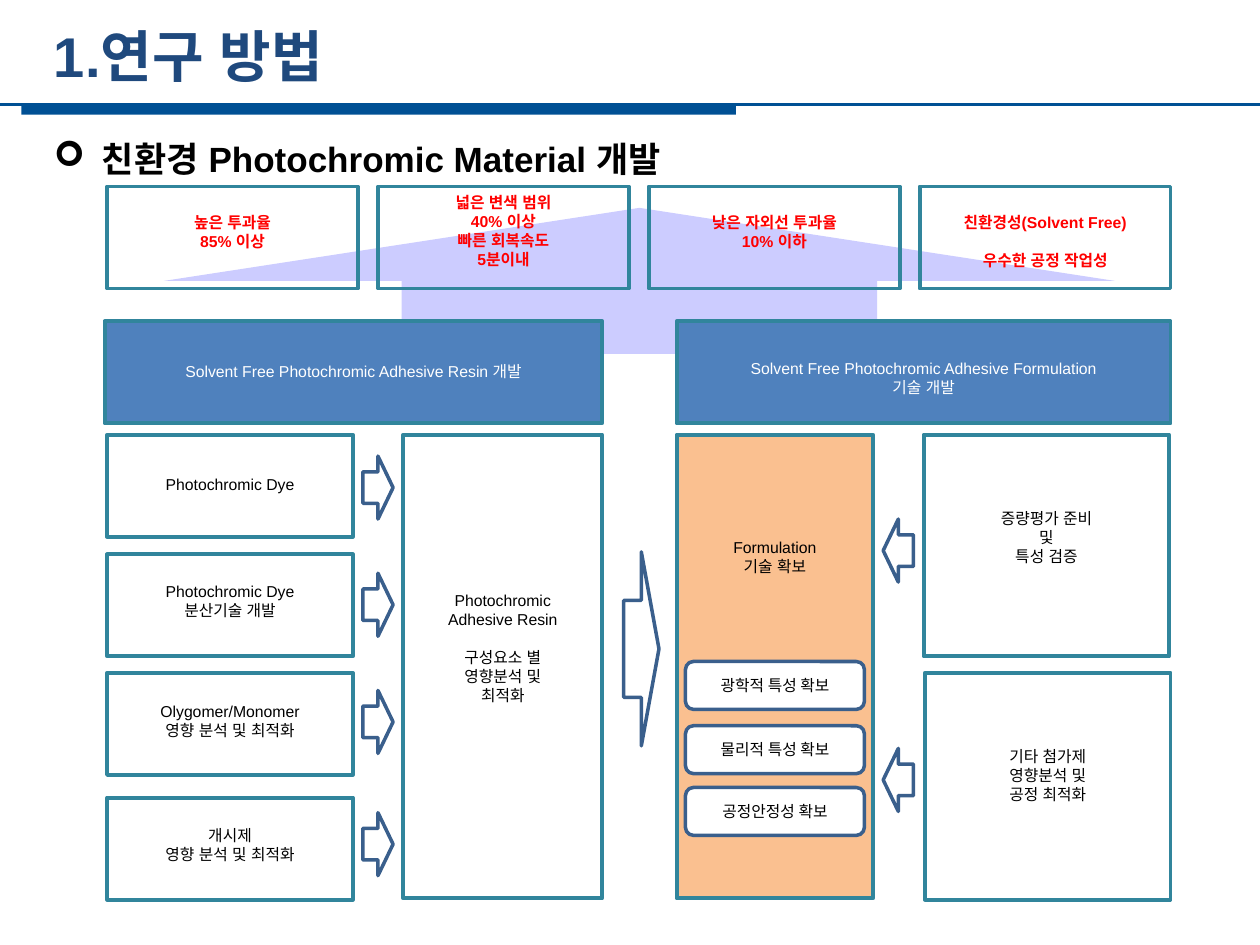
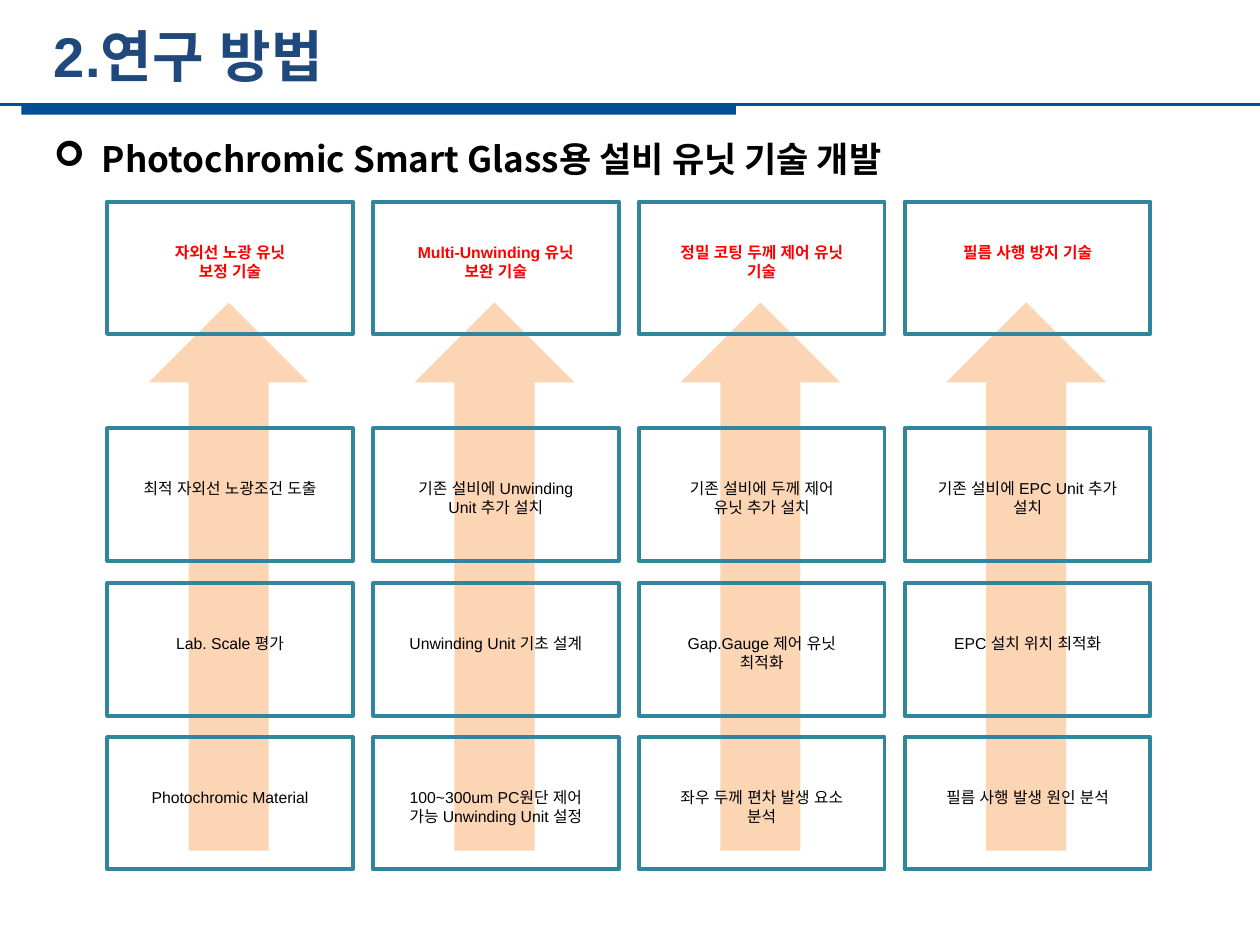
from lxml import etree
from pptx import Presentation
from pptx.dml.color import RGBColor
from pptx.enum.shapes import MSO_CONNECTOR, MSO_SHAPE
from pptx.enum.text import MSO_ANCHOR, PP_ALIGN
from pptx.oxml.ns import qn
from pptx.util import Inches, Pt

RECT, ROUND = MSO_SHAPE.RECTANGLE, MSO_SHAPE.ROUNDED_RECTANGLE
UP, RIGHT, LEFT = MSO_SHAPE.UP_ARROW, MSO_SHAPE.RIGHT_ARROW, MSO_SHAPE.LEFT_ARROW
STRAIGHT = MSO_CONNECTOR.STRAIGHT
TOP, MIDDLE = MSO_ANCHOR.TOP, MSO_ANCHOR.MIDDLE
CENTER = PP_ALIGN.CENTER

COLORS = {
    "band": "005094", "title": "1F497D", "teal": "31859C", "navy": "3A5F8C",
    "blue": "4F81BD", "orange": "FAC090", "peach": "FCD5B5",
    "lavender": "CCCCFF", "red": "FF0000", "black": "000000", "white": "FFFFFF",
}
ARIAL, NOTO = "Arial", "Noto Sans CJK KR"
LINE_GAP = Pt(10.7)


def rgb(name):
    return RGBColor.from_string(COLORS[name])


class Deck:
    def __init__(self):
        self.prs = Presentation()
        self.prs.slide_width, self.prs.slide_height = Inches(10), Inches(7.5)
        self.s = None

    def slide(self, title, heading, heading_font):
        """Start a slide with its band, title and bulleted heading."""
        self.s = self.prs.slides.add_slide(self.prs.slide_layouts[6])
        self.shape(RECT, 0.17, 0.83, 5.67, 0.08, fill="band")
        self.rule(0.83)
        self.textbox(0.33, 0.12, 8.96, 0.64, title, 32, ARIAL, "title")
        p = self.textbox(0.33, 1.04, 9, 0.44, heading, 20, heading_font, "black")
        pPr = p._p.get_or_add_pPr()
        pPr.set("marL", str(Inches(0.38)))
        pPr.set("indent", str(-Inches(0.38)))
        etree.SubElement(pPr, qn("a:buFont")).set("typeface", "Wingdings")
        etree.SubElement(pPr, qn("a:buChar")).set("char", "➢")

    def rule(self, y):
        c = self.s.shapes.add_connector(
            STRAIGHT, 0, Inches(y), self.prs.slide_width, Inches(y))
        c.line.color.rgb = rgb("band")
        c.line.width = Pt(1.25)
        etree.SubElement(c._element.spPr, qn("a:effectLst"))

    def style(self, p, size, font, color, bold):
        for r in p.runs:
            r.font.size, r.font.name, r.font.bold = Pt(size), font, bold
            r.font.color.rgb = rgb(color)
            ea = etree.SubElement(r._r.get_or_add_rPr(), qn("a:ea"))
            ea.set("typeface", font)

    def textbox(self, x, y, w, h, text, size, font, color):
        box = self.s.shapes.add_textbox(Inches(x), Inches(y), Inches(w), Inches(h))
        tf = box.text_frame
        tf.word_wrap = True
        tf.text = text
        p = tf.paragraphs[0]
        self.style(p, size, font, color, True)
        return p

    def shape(self, kind, x, y, w, h, fill=None, line=None, width=2):
        sp = self.s.shapes.add_shape(kind, Inches(x), Inches(y), Inches(w), Inches(h))
        sp.shadow.inherit = False
        if fill:
            sp.fill.solid()
            sp.fill.fore_color.rgb = rgb(fill)
        else:
            sp.fill.background()
        if line:
            sp.line.color.rgb = rgb(line)
            sp.line.width = Pt(width)
        else:
            sp.line.fill.background()
        return sp

    def label(self, sp, text, offset=None, color="black", font=ARIAL, bold=False):
        """Centre lines in a shape, from offset down or in the middle.

        An empty line becomes space before the next paragraph.
        """
        tf = sp.text_frame
        tf.word_wrap = False
        tf.vertical_anchor = MIDDLE if offset is None else TOP
        if offset is not None:
            tf.margin_top = Inches(offset + 0.05)
            tf.margin_bottom = 0
        for i, block in enumerate(text.split("\n\n")):
            for j, line in enumerate(block.split("\n")):
                p = tf.paragraphs[0] if i == j == 0 else tf.add_paragraph()
                p.text = line
                p.alignment = CENTER
                if i and j == 0:
                    p.space_before = LINE_GAP
                self.style(p, 9, font, color, bold)

    def box(self, x, y, w, h, text, offset, fill=None, color="black", bold=False):
        sp = self.shape(RECT, x, y, w, h, fill, "teal", 2.25)
        self.label(sp, text, offset, color, bold=bold)

    def pill(self, x, y, text):
        sp = self.shape(ROUND, x, y, 1.42, 0.38, "white", "navy")
        self.label(sp, text, font=NOTO)

    def arrow(self, kind, x, y, w=0.24, h=0.5):
        self.shape(kind, x, y, w, h, line="navy")


def material_slide(d):
    d.slide("1.연구 방법", "친환경 Photochromic Material 개발", ARIAL)
    d.shape(UP, 1.3, 1.65, 7.55, 1.16, fill="lavender")
    goals = [
        ("높은 투과율\n85% 이상", 0.16),
        ("넓은 변색 범위\n40% 이상\n빠른 회복속도\n5분이내", 0),
        ("낮은 자외선 투과율\n10% 이하", 0.16),
        ("친환경성(Solvent Free)\n\n우수한 공정 작업성", 0.16),
    ]
    for i, (text, offset) in enumerate(goals):
        d.box(0.85 + 2.15 * i, 1.48, 1.99, 0.81, text, offset, color="red", bold=True)

    d.box(0.83, 2.55, 3.95, 0.81, "Solvent Free Photochromic Adhesive Resin 개발",
          0.27, "blue", "white")
    d.box(5.37, 2.55, 3.92, 0.81,
          "Solvent Free Photochromic Adhesive Formulation\n기술 개발",
          0.25, "blue", "white")

    inputs = [
        (3.45, 3.62, "Photochromic Dye", 0.27),
        (4.4, 4.55, "Photochromic Dye\n분산기술 개발", 0.17),
        (5.34, 5.48, "Olygomer/Monomer\n영향 분석 및 최적화", 0.18),
        (6.33, 6.45, "개시제\n영향 분석 및 최적화", 0.17),
    ]
    for y, arrow_y, text, offset in inputs:
        d.box(0.85, y, 1.95, 0.81, text, offset)
        d.arrow(RIGHT, 2.88, arrow_y)

    d.box(3.2, 3.45, 1.58, 3.68,
          "Photochromic\nAdhesive Resin\n\n구성요소 별\n영향분석 및\n최적화", 1.19)
    d.arrow(RIGHT, 4.95, 4.38, 0.28, 1.54)
    d.box(5.37, 3.45, 1.56, 3.68, "Formulation\n기술 확보", 0.77, "orange")
    for y, text in [(5.25, "광학적 특성 확보"), (5.76, "물리적 특성 확보"),
                    (6.25, "공정안정성 확보")]:
        d.pill(5.44, y, text)

    d.box(7.33, 3.45, 1.95, 1.76, "증량평가 준비\n및\n특성 검증", 0.54)
    d.box(7.34, 5.34, 1.95, 1.8, "기타 첨가제\n영향분석 및\n공정 최적화", 0.54)
    for y in (4.12, 5.94):
        d.arrow(LEFT, 7.01, y)


def equipment_slide(d):
    d.slide("2.연구 방법", "Photochromic Smart Glass용 설비 유닛 기술 개발", NOTO)
    rows = [
        (1.6, ["자외선 노광 유닛\n보정 기술", "Multi-Unwinding 유닛\n보완 기술",
               "정밀 코팅 두께 제어 유닛\n기술", "필름 사행 방지 기술"]),
        (3.4, ["최적 자외선 노광조건 도출", "기존 설비에 Unwinding\nUnit 추가 설치",
               "기존 설비에 두께 제어\n유닛 추가 설치", "기존 설비에 EPC Unit 추가\n설치"]),
        (4.63, ["Lab. Scale 평가", "Unwinding Unit 기초 설계",
                "Gap.Gauge 제어 유닛\n최적화", "EPC 설치 위치 최적화"]),
        (5.85, ["Photochromic Material", "100~300um PC원단 제어\n가능 Unwinding Unit 설정",
                "좌우 두께 편차 발생 요소\n분석", "필름 사행 발생 원인 분석"]),
    ]
    pitch = 2.11
    for i in range(4):
        d.shape(UP, 1.18 + pitch * i, 2.4, 1.27, 4.35, fill="peach")
    for n, (y, texts) in enumerate(rows):
        goal = n == 0
        for i, text in enumerate(texts):
            d.box(0.85 + pitch * i, y, 1.95, 1.05, text, 0.28 if goal else 0.35,
                  color="red" if goal else "black", bold=goal)


def main():
    d = Deck()
    material_slide(d)
    equipment_slide(d)
    d.prs.save("out.pptx")


if __name__ == "__main__":
    main()
